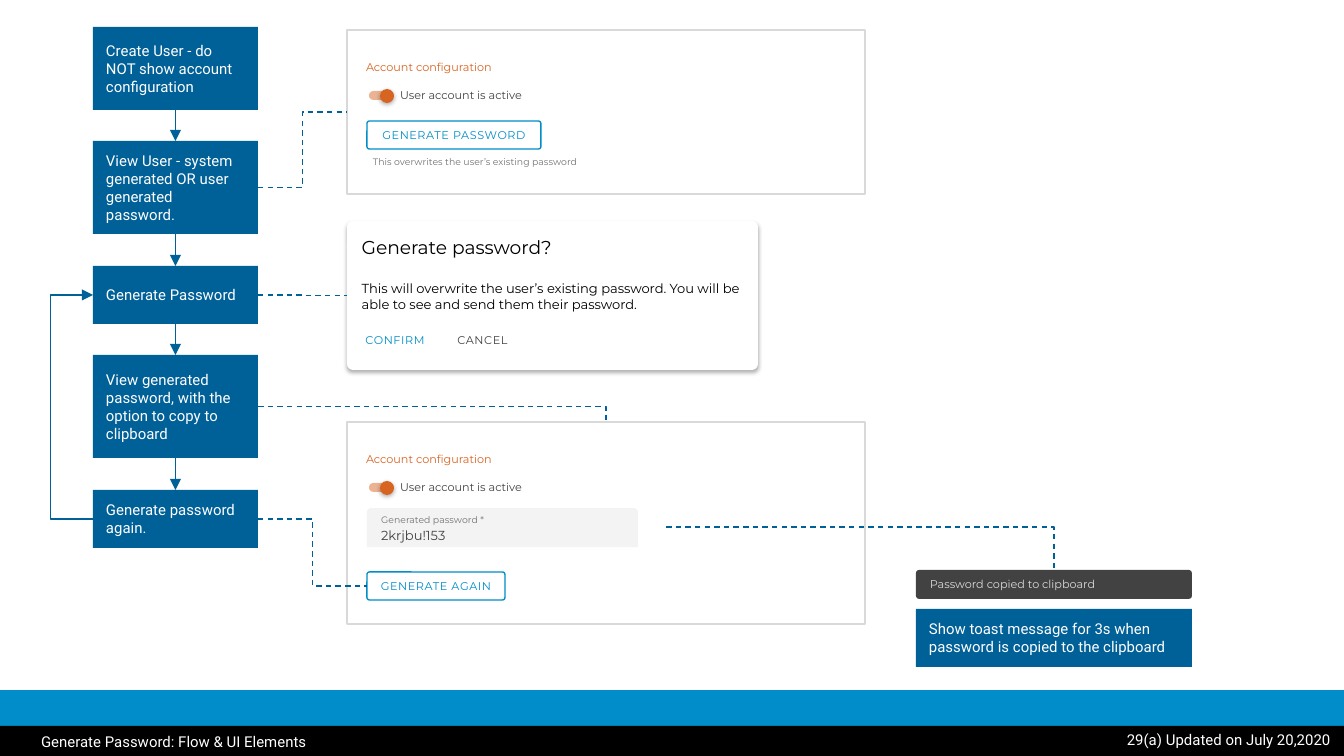
from lxml import etree
from pptx import Presentation
from pptx.dml.color import RGBColor
from pptx.enum.dml import MSO_LINE
from pptx.enum.shapes import MSO_CONNECTOR as CONNECTOR, MSO_SHAPE as SHAPE
from pptx.enum.text import MSO_ANCHOR as ANCHOR, MSO_AUTO_SIZE, PP_ALIGN as ALIGN
from pptx.oxml.ns import qn
from pptx.util import Pt

PX = 914400 / 134.4
COLORS = {
    "blue": "008DC9", "navy": "006098", "orange": "D86422", "white": "FFFFFF",
    "black": "000000", "dark": "424242", "gray": "737373", "border": "D9D9D9",
    "field": "F3F3F3",
}
RGB = {name: RGBColor.from_string(value) for name, value in COLORS.items()}
TOP, LEFT, BOTTOM, RIGHT = range(4)

presentation = Presentation()
presentation.slide_width = round(1344 * PX)
presentation.slide_height = round(756 * PX)
slide = presentation.slides.add_slide(presentation.slide_layouts[5])
slide.background.fill.solid()
slide.background.fill.fore_color.rgb = RGB["blue"]


def add_shape(kind, box, fill=None, line=None, radius=None, shadow=None, alpha=None):
    shape = slide.shapes.add_shape(kind, *[round(value * PX) for value in box])
    shape.shadow.inherit = False
    if fill:
        shape.fill.solid()
        shape.fill.fore_color.rgb = RGB[fill]
    else:
        shape.fill.background()
    if line:
        shape.line.color.rgb = RGB[line]
        shape.line.width = Pt(0.75)
    else:
        shape.line.fill.background()
    if radius is not None:
        shape.adjustments[0] = radius
    if alpha:
        color = shape._element.spPr.find(".//" + qn("a:srgbClr"))
        etree.SubElement(color, qn("a:alpha"), val=str(alpha * 1000))
    if shadow:
        effects = shape._element.spPr.find(qn("a:effectLst"))
        outer = etree.SubElement(effects, qn("a:outerShdw"), blurRad=str(Pt(2.2)),
                                 dist=str(Pt(shadow)), dir="5400000", algn="bl", rotWithShape="0")
        color = etree.SubElement(outer, qn("a:srgbClr"), val=COLORS["black"])
        etree.SubElement(color, qn("a:alpha"), val="30000")
    return shape


def write(shape, lines, font="Montserrat", insets=(0, 0, 0, 0), anchor=ANCHOR.MIDDLE,
          align=ALIGN.LEFT, line_spacing=None, gap=0, tracking=0):
    frame = shape.text_frame
    frame.word_wrap = True
    frame.auto_size = MSO_AUTO_SIZE.NONE
    frame.vertical_anchor = anchor
    frame.margin_left, frame.margin_top, frame.margin_right, frame.margin_bottom = [
        round(value * PX) for value in insets]
    for index, (text, size, color) in enumerate(lines):
        paragraph = frame.add_paragraph() if index else frame.paragraphs[0]
        paragraph.alignment = align
        if line_spacing:
            paragraph.line_spacing = line_spacing
        if index and gap:
            paragraph.space_before = Pt(gap)
        run = paragraph.add_run()
        run.text = text
        run.font.name = font
        run.font.size = Pt(size)
        run.font.color.rgb = RGB[color]
        if tracking:
            run._r.get_or_add_rPr().set("spc", str(tracking))


add_shape(SHAPE.RECTANGLE, (0, 0, 1344, 690), "white")
add_shape(SHAPE.RECTANGLE, (0, 726, 1344, 30), "black")

panels = []
for top, height in [(30, 164), (422, 202)]:
    panels.append(add_shape(SHAPE.RECTANGLE, (347, top, 518, height), "white", "border"))
    add_shape(SHAPE.ROUNDED_RECTANGLE, (369, top + 61, 25, 9), "orange", radius=0.5, alpha=49)
    add_shape(SHAPE.ROUNDED_RECTANGLE, (380, top + 59, 14, 14), "orange", radius=0.5, shadow=0.8)
    for text, left, offset, color in [("Account configuration", 366, 29, "orange"),
                                      ("User account is active", 400, 57, "dark")]:
        label = slide.shapes.add_textbox(*[round(value * PX) for value in (left, top + offset, 155, 16)])
        write(label, [(text, 6, color)])

hint = slide.shapes.add_textbox(*[round(value * PX) for value in (366, 151, 227, 22)])
write(hint, [("This overwrites the user’s existing password", 5, "gray")], insets=(7, 0, 0, 0))

field = add_shape(SHAPE.ROUND_2_SAME_RECTANGLE, (367, 508, 271, 39), "field", radius=0.106)
write(field, [("Generated password *", 5, "gray"), ("2krjbu!153", 7, "dark")],
      insets=(13, 13, 13, 13), line_spacing=1.15)

dialog = add_shape(SHAPE.ROUNDED_RECTANGLE, (347, 221, 411, 149), "white", radius=0.04, shadow=1.5)
write(dialog, [
    ("Generate password?", 10, "black"),
    ("This will overwrite the user’s existing password. "
     "You will be able to see and send them their password.", 7, "black"),
], insets=(13, 13, 13, 13), anchor=ANCHOR.TOP, gap=12)

buttons = {}
for text, box, color, fill, line in [
    ("GENERATE PASSWORD", (367, 121, 174, 28), "blue", "white", "blue"),
    ("GENERATE AGAIN", (367, 572, 138, 28), "blue", "white", "blue"),
    ("CONFIRM", (356, 326, 78, 28), "blue", None, None),
    ("CANCEL", (446, 326, 73, 28), "dark", None, None),
]:
    buttons[text] = add_shape(SHAPE.ROUNDED_RECTANGLE, box, fill, line, radius=0.09)
    write(buttons[text], [(text, 6, color)], align=ALIGN.CENTER, tracking=30)

steps = []
for text, box in [
    ("Create User - do NOT show account configuration", (93, 27, 165, 83)),
    ("View User - system generated OR user generated password.", (93, 141, 165, 93)),
    ("Generate Password", (93, 266, 165, 58)),
    ("View generated password, with the option to copy to clipboard", (93, 355, 165, 103)),
    ("Generate password again.", (93, 490, 165, 58)),
    ("Show toast message for 3s when password is copied to the clipboard", (916, 609, 276, 58)),
]:
    step = add_shape(SHAPE.RECTANGLE, box, "navy")
    write(step, [(text, 8, "white")], font="Roboto", insets=(13, 13, 13, 13))
    steps.append(step)
create, view, generate, result, again = steps[:5]

toast = add_shape(SHAPE.ROUNDED_RECTANGLE, (916, 570, 276, 29), "dark", radius=0.11)
write(toast, [("Password copied to clipboard", 6, "border")], insets=(13, 0, 0, 0))

links = [(CONNECTOR.STRAIGHT, upper, BOTTOM, lower, TOP, None, True)
         for upper, lower in zip(steps[:4], steps[1:5])]
links += [
    (CONNECTOR.ELBOW, view, RIGHT, panels[0], LEFT, None, False),
    (CONNECTOR.ELBOW, generate, RIGHT, dialog, LEFT, None, False),
    (CONNECTOR.ELBOW, result, RIGHT, panels[1], TOP, "corner", False),
    (CONNECTOR.ELBOW, again, RIGHT, buttons["GENERATE AGAIN"], LEFT, None, False),
    (CONNECTOR.ELBOW, None, None, toast, TOP, "corner", False),
    (CONNECTOR.ELBOW, again, LEFT, generate, LEFT, "loop", True),
]
for kind, source, source_site, target, target_site, route, arrow in links:
    connector = slide.shapes.add_connector(kind, round(666 * PX), round(527 * PX), 0, 0)
    if source:
        connector.begin_connect(source, source_site)
    connector.end_connect(target, target_site)
    connector.line.color.rgb = RGB["navy"]
    connector.line.width = Pt(0.75)
    properties = connector._element.spPr
    geometry = properties.find(qn("a:prstGeom"))
    if route == "corner":
        geometry.set("prst", "bentConnector2")
    if route == "loop":
        connector.begin_x = connector.end_x + round(PX)
        guides = geometry.find(qn("a:avLst"))
        etree.SubElement(guides, qn("a:gd"), name="adj1", fmla="val 4300000")
    if arrow:
        etree.SubElement(connector.line._get_or_add_ln(), qn("a:tailEnd"), type="triangle")
    else:
        connector.line.dash_style = MSO_LINE.DASH
    etree.SubElement(properties, qn("a:effectLst"))

title = slide.shapes.title
title.left, title.top, title.width, title.height = [round(value * PX) for value in (28, 728, 644, 28)]
write(title, [("Generate Password: Flow & UI Elements", 8, "white")], font="Roboto", insets=(13, 0, 13, 0))
slide.shapes._spTree.append(title._element)

page_label = slide.shapes.add_textbox(*[round(value * PX) for value in (1020, 718, 324, 38)])
write(page_label, [("29(a) Updated on July 20,2020", 8, "white")], font="Roboto",
      insets=(13, 13, 13, 13), anchor=ANCHOR.TOP, align=ALIGN.RIGHT)

presentation.save("out.pptx")
